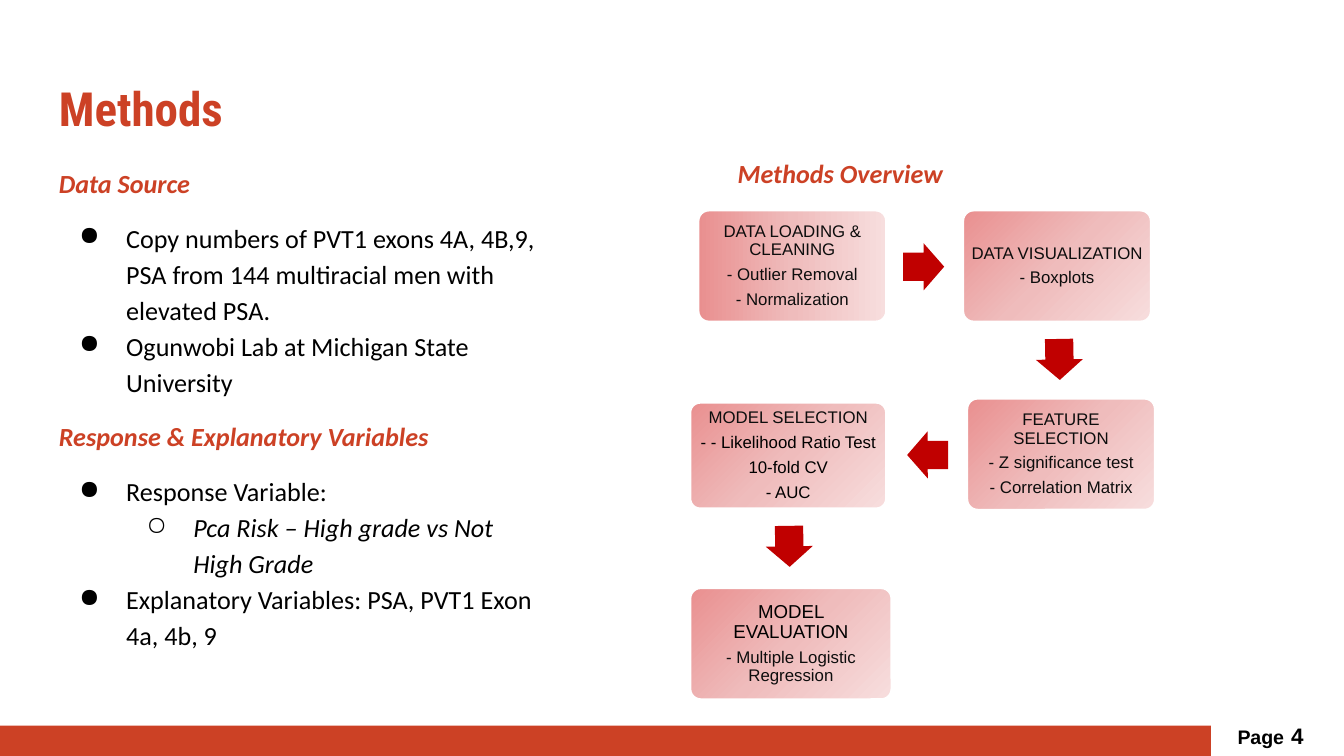
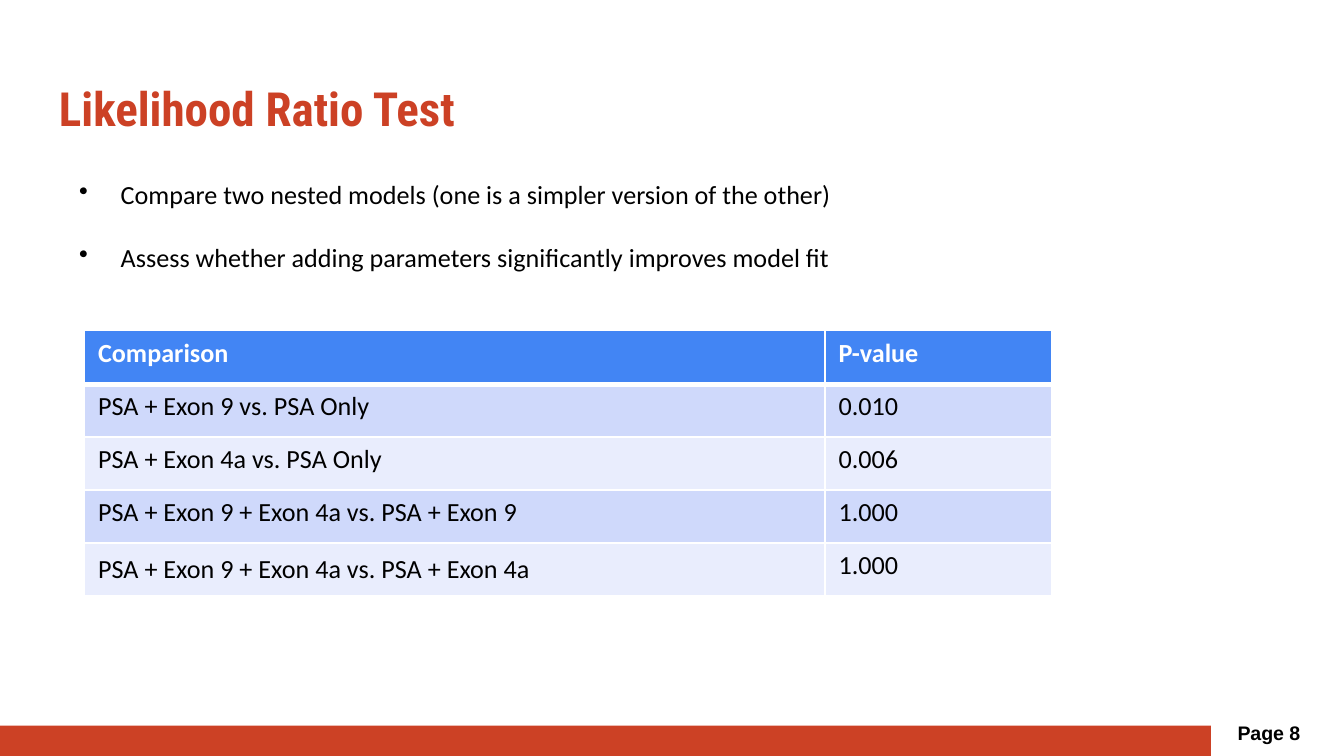
import lxml.etree
import pptx
import pptx.dml.color
import pptx.enum.shapes
import pptx.enum.text
import pptx.oxml.ns
import pptx.util

# Shared look; every position is counted in square grid cells, 100 to the slide's width
COLUMNS, ROWS = 100, 56.25
CELL = pptx.util.Inches(0.1)
COLOURS = {
    "accent": "CC4125", "text": "000000", "step text": "0D0D0D", "white": "FFFFFF",
    "arrow": "C00000", "header": "4285F4", "odd row": "CFD9FB", "even row": "E9EDFD",
}
STEP_GRADIENT = [(0, "E98F8F"), (50, "EFBCBC"), (100, "F7DEDE")]
TITLE_FONT, BODY_FONT, LABEL_FONT = "Roboto Condensed", "Calibri", "Arial"
BODY_SIZE = 14
SHAPES = pptx.enum.shapes.MSO_SHAPE
MIDDLE = pptx.enum.text.MSO_ANCHOR.MIDDLE


def grid(*counts):
    return [round(count * CELL) for count in counts]


def colour(name):
    return pptx.dml.color.RGBColor.from_string(COLOURS[name])


def add_node(parent, tag, **attributes):
    return lxml.etree.SubElement(parent, pptx.oxml.ns.qn(tag), attributes)


def add_colour_node(parent, value):
    add_node(parent, "a:srgbClr", val=value)


# Text
def style(para, font, size, ink, bold=False, italic=False):
    for span in para.runs:
        span.font.name, span.font.size = font, pptx.util.Pt(size)
        span.font.bold, span.font.italic = bold, italic
        span.font.color.rgb = colour(ink)


def set_margins(frame, across, down):
    frame.margin_left = frame.margin_right = grid(across)[0]
    frame.margin_top = frame.margin_bottom = grid(down)[0]


def add_text(page, place, lines, across=1, down=1):
    frame = page.shapes.add_textbox(*grid(*place)).text_frame
    frame.word_wrap = True
    set_margins(frame, across, down)
    frame.text = "\n".join(lines)
    return frame


def add_bullet(para, mark, left, hanging):
    properties = para._p.get_or_add_pPr()
    margin, indent = grid(left, -hanging)
    properties.set("marL", str(margin))
    properties.set("indent", str(indent))
    add_colour_node(add_node(properties, "a:buClr"), COLOURS["text"])
    add_node(properties, "a:buChar", char=mark)


def add_sections(page, place, lines):
    """Each line is (kind, text), with kind heading, bullet or detail."""
    frame = add_text(page, place, [text for _, text in lines])
    previous = None
    for para, (kind, _) in zip(frame.paragraphs, lines):
        heading = kind == "heading"
        para.line_spacing = 1.15
        if previous and "heading" in (kind, previous):
            para.space_before = pptx.util.Pt(10)
        style(para, BODY_FONT, BODY_SIZE, "accent" if heading else "text",
              bold=heading, italic=kind != "bullet")
        if kind == "bullet":
            add_bullet(para, "●", 5, 3.5)
        elif kind == "detail":
            para.level = 1
            add_bullet(para, "○", 10, 3.5)
        previous = kind


def add_points(page, place, lines):
    frame = add_text(page, place, lines, down=0.5)
    for para in frame.paragraphs:
        style(para, BODY_FONT, BODY_SIZE, "text")
        para.space_after = pptx.util.Pt(17)
        add_bullet(para, "•", 3.1, 3.1)


# Shapes
def add_block(page, kind, place, fill=None):
    block = page.shapes.add_shape(kind, *grid(*place))
    block.shadow.inherit = False
    block.line.fill.background()
    if fill:
        block.fill.solid()
        block.fill.fore_color.rgb = colour(fill)
    return block


def add_step(page, place, lines, angle=45, head_size=9, head_ink="step text",
             detail_ink="step text"):
    step = add_block(page, SHAPES.ROUNDED_RECTANGLE, place)
    step.adjustments[0] = 0.1
    step.line.color.rgb = colour("white")
    step.line.width = pptx.util.Pt(2)
    step.fill.gradient()
    step.fill.gradient_angle = 360 - angle
    stops = step._element.spPr.find(".//" + pptx.oxml.ns.qn("a:gsLst"))
    for stop in list(stops):
        stops.remove(stop)
    for share, value in STEP_GRADIENT:
        add_colour_node(add_node(stops, "a:gs", pos=str(share * 1000)), value)

    frame = step.text_frame
    frame.word_wrap = True
    frame.vertical_anchor = MIDDLE
    set_margins(frame, 0.4, 0.4)
    frame.text = "\n".join(lines)
    for index, para in enumerate(frame.paragraphs):
        para.alignment = pptx.enum.text.PP_ALIGN.CENTER
        para.line_spacing = 0.9
        para.space_after = pptx.util.Pt(3.5)
        if index == 0:
            style(para, LABEL_FONT, head_size, head_ink)
        else:
            style(para, LABEL_FONT, 9, detail_ink)


def add_arrow(page, left, top, turn):
    arrow = add_block(page, SHAPES.RIGHT_ARROW, (left, top, 3.05, 3.5), "arrow")
    arrow.adjustments[0], arrow.adjustments[1] = 0.6, 0.5
    arrow.rotation = turn


# Table
def set_cell_borders(cell, top, bottom):
    properties = cell._tc.get_or_add_tcPr()
    for tag, width in (("a:lnL", 1), ("a:lnR", 1), ("a:lnT", top), ("a:lnB", bottom)):
        border = add_node(properties, tag, w=str(pptx.util.Pt(width)))
        add_colour_node(add_node(border, "a:solidFill"), COLOURS["white"])


def add_comparison_table(page, place, widths, heights, rows):
    table = page.shapes.add_table(len(rows), len(widths), *grid(*place)).table
    for column, width in zip(table.columns, grid(*widths)):
        column.width = width
    for row, height in zip(table.rows, grid(*heights)):
        row.height = height
    for r, values in enumerate(rows):
        header = r == 0
        fill = "header" if header else "odd row" if r % 2 else "even row"
        for c, value in enumerate(values):
            cell = table.cell(r, c)
            cell.text = value
            set_cell_borders(cell, 3 if r == 1 else 1, 3 if header else 1)
            cell.fill.solid()
            cell.fill.fore_color.rgb = colour(fill)
            style(cell.text_frame.paragraphs[0], BODY_FONT, BODY_SIZE,
                  "white" if header else "text", bold=header)
    table.cell(len(rows) - 1, 0).vertical_anchor = MIDDLE


# Title, footer band and page label
def add_page(deck, title, label):
    page = deck.slides.add_slide(deck.slide_layouts[6])
    heading = add_text(page, (3.4, 4.9, 93.2, 6.3), [title])
    style(heading.paragraphs[0], TITLE_FONT, 25.2, "accent", bold=True)
    add_block(page, SHAPES.RECTANGLE, (0, 54, 90.1, ROWS - 54), "accent")
    para = add_text(page, (91.1, 53.3, 7.7, 3.7), [""]).paragraphs[0]
    para.line_spacing = 0.8
    para.space_after = pptx.util.Pt(12)
    for text, _ in label:
        para.add_run().text = text
    style(para, LABEL_FONT, 10.5, "text", bold=True)
    for span, (_, size) in zip(para.runs, label):
        span.font.size = pptx.util.Pt(size)
    return page


def add_methods_page(deck):
    page = add_page(deck, "Methods", [("Page ", 10.5), (" ", 3), ("4", 12)])
    add_sections(page, (3.4, 11.1, 38.4, 38.7), [
        ("heading", "Data Source"),
        ("bullet", "Copy numbers of PVT1 exons 4A, 4B,9, PSA from 144 multiracial men "
                   "with elevated PSA."),
        ("bullet", "Ogunwobi Lab at Michigan State University"),
        ("heading", "Response & Explanatory Variables"),
        ("bullet", "Response Variable:"),
        ("detail", "Pca Risk – High grade vs Not High Grade"),
        ("bullet", "Explanatory Variables: PSA, PVT1 Exon 4a, 4b, 9"),
    ])
    add_sections(page, (53.9, 10.4, 39.9, 37.4), [("heading", "Methods Overview")])

    # Workflow
    add_step(page, (51.9, 15.6, 14.1, 8.4),
             ["DATA LOADING & CLEANING", "- Outlier Removal", "- Normalization"], angle=0)
    add_step(page, (71.6, 15.6, 14.1, 8.4), ["DATA VISUALIZATION", "- Boxplots"])
    add_step(page, (71.9, 29.6, 14.1, 8.4),
             ["FEATURE SELECTION", "- Z significance test", "- Correlation Matrix"])
    add_step(page, (51.3, 29.9, 14.7, 8),
             ["MODEL SELECTION", "- - Likelihood Ratio Test", "10-fold CV", "- AUC"],
             detail_ink="text")
    add_step(page, (51.3, 43.7, 15.1, 8.4),
             ["MODEL EVALUATION", "- Multiple Logistic Regression"],
             head_size=10, head_ink="text")
    for left, top, turn in ((67.2, 18.1, 359.9), (77.3, 25, 89),
                            (67.5, 32.1, 179.8), (57.2, 38.9, 89.1)):
        add_arrow(page, left, top, turn)


def add_ratio_test_page(deck):
    page = add_page(deck, "Likelihood Ratio Test", [("Page 8", 10.5)])
    add_points(page, (4.9, 12.8, 87.2, 12.8), [
        "Compare two nested models (one is a simpler version of the other)",
        "Assess whether adding parameters significantly improves model fit",
    ])
    add_comparison_table(page, (6.3, 24.6, 72, 19.7), (55.1, 16.9), [4] + [3.94] * 4, [
        ("Comparison", "P-value"),
        ("PSA + Exon 9 vs. PSA Only", "0.010"),
        ("PSA + Exon 4a vs. PSA Only", "0.006"),
        ("PSA + Exon 9 + Exon 4a vs. PSA + Exon 9", "1.000"),
        ("PSA + Exon 9 + Exon 4a vs. PSA + Exon 4a", "1.000"),
    ])


def main():
    deck = pptx.Presentation()
    deck.slide_width, deck.slide_height = grid(COLUMNS, ROWS)
    add_methods_page(deck)
    add_ratio_test_page(deck)
    deck.save("out.pptx")


if __name__ == "__main__":
    main()
